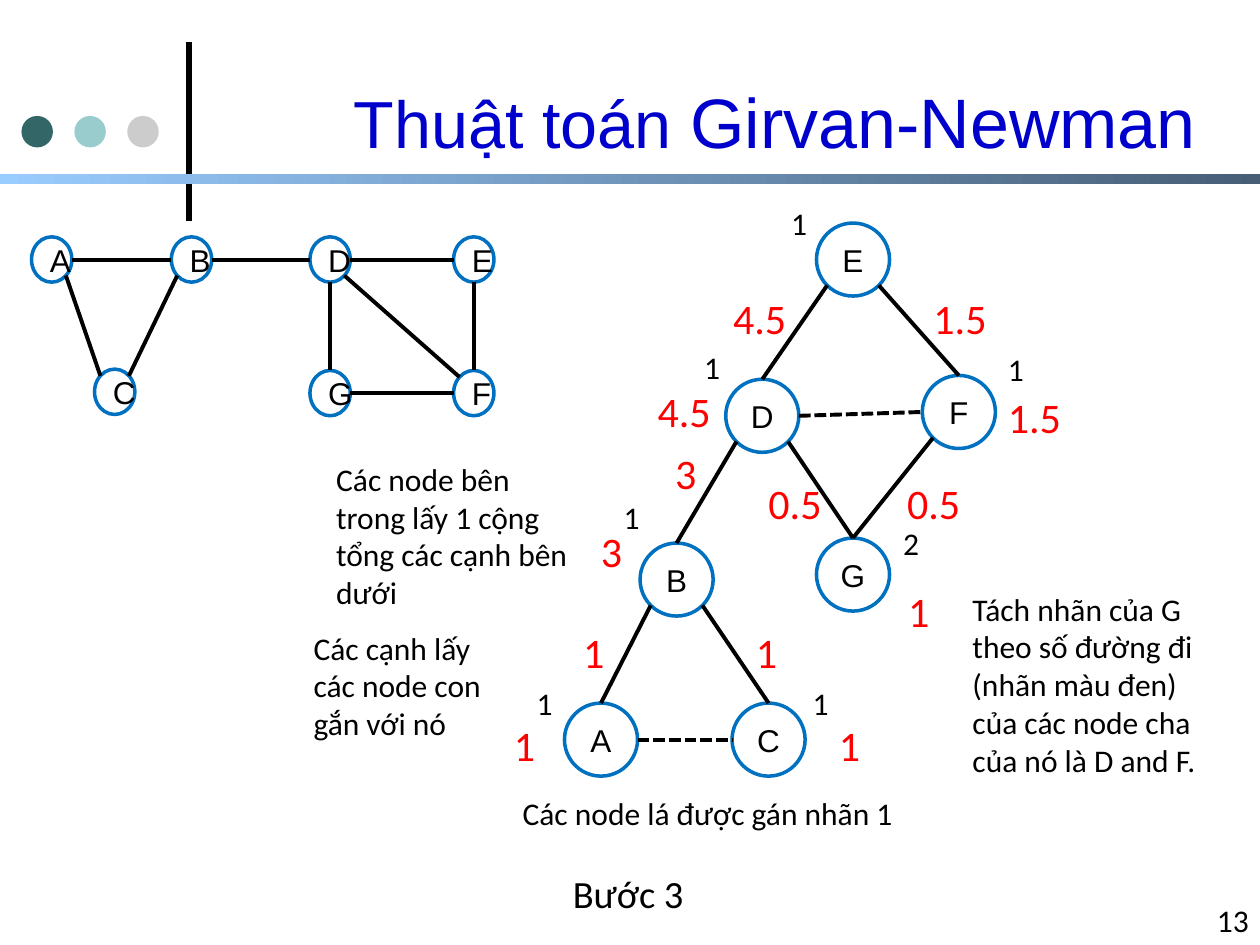
from collections import namedtuple
from math import sqrt

from lxml import etree
from pptx import Presentation
from pptx.dml.color import RGBColor
from pptx.enum.dml import MSO_LINE_DASH_STYLE as Dash
from pptx.enum.shapes import MSO_CONNECTOR as Connector, MSO_SHAPE as Shape
from pptx.enum.text import MSO_ANCHOR as Anchor, MSO_AUTO_SIZE as AutoSize, PP_ALIGN as Align
from pptx.oxml.ns import qn
from pptx.util import Inches, Pt

COLORS = {
    "black": "000000", "title": "0000CC", "credit": "FF0000", "node": "0070C0",
    "teal": "336666", "aqua": "99CCCC", "gray": "CCCCCC",
    "bar_start": "99CCFF", "bar_end": "475E76",
}
Box = namedtuple("Box", "left top width height")
DIAGONAL = sqrt(0.5)
SITES = {
    "top": (0, -1), "bottom": (0, 1), "left": (-1, 0), "right": (1, 0),
    "top left": (-DIAGONAL, -DIAGONAL), "top right": (DIAGONAL, -DIAGONAL),
    "bottom left": (-DIAGONAL, DIAGONAL), "bottom right": (DIAGONAL, DIAGONAL),
}


def rgb(name):
    return RGBColor.from_string(COLORS[name])


def lengths(box):
    return [Inches(value) for value in box]


def within(box, left, top, width, height):
    return Box(box.left + left, box.top + top, width, height)


def write(shape, *pieces, size=18, font="Calibri", color="black", align=Align.LEFT,
          anchor=Anchor.TOP, wrap=True):
    frame = shape.text_frame
    frame.auto_size = AutoSize.NONE
    frame.word_wrap = wrap
    frame.vertical_anchor = anchor
    frame.margin_left = frame.margin_right = Inches(0.1)
    frame.margin_top = frame.margin_bottom = Inches(0.05)
    para = frame.paragraphs[0]
    para.alignment = align
    for piece in pieces:
        text, points = piece if isinstance(piece, tuple) else (piece, size)
        span = para.add_run()
        span.text = text
        span.font.size = Pt(points)
        span.font.name = font
        span.font.color.rgb = rgb(color)


def add_text(shapes, box, text, **style):
    write(shapes.add_textbox(*lengths(box)), text, **style)


def add_line(shapes, start, end, width=2.25, dashed=False):
    line = shapes.add_connector(Connector.STRAIGHT, *lengths(start + end))
    line.line.color.rgb = rgb("black")
    line.line.width = Pt(width)
    if dashed:
        line.line.dash_style = Dash.SQUARE_DOT
    properties = line._element.find(qn("p:spPr"))
    etree.SubElement(properties, qn("a:effectLst"))


def add_plain_shape(shapes, kind, box):
    shape = shapes.add_shape(kind, *lengths(box))
    shape.shadow.inherit = False
    shape.line.fill.background()
    return shape


def add_node(shapes, box, name):
    node = add_plain_shape(shapes, Shape.OVAL, box)
    node.fill.background()
    node.line.color.rgb = rgb("node")
    node.line.width = Pt(2)
    write(node, name, font="Arial", align=Align.CENTER, anchor=Anchor.MIDDLE)


def site_point(box, site):
    across, down = SITES[site]
    return (box.left + box.width / 2 * (1 + across),
            box.top + box.height / 2 * (1 + down))


def add_graph(page, box, nodes, edges, width, height):
    shapes = page.shapes.add_group_shape().shapes
    places = {name: within(box, left, top, width, height)
              for name, (left, top) in nodes.items()}
    for name, place in places.items():
        add_node(shapes, place, name)
    for first, leaving, second, arriving, *dashed in edges:
        add_line(shapes, site_point(places[first], leaving),
                 site_point(places[second], arriving), dashed=bool(dashed))


def add_header(page, box):
    add_line(page.shapes, (box.left + 1.5, box.top + 1.75),
             (box.left + 1.5, box.top + 0.33), width=3)
    for index, color in enumerate(("teal", "aqua", "gray")):
        dot = add_plain_shape(page.shapes, Shape.OVAL,
                              within(box, 0.17 + 0.42 * index, 0.92, 0.25, 0.25))
        dot.fill.solid()
        dot.fill.fore_color.rgb = rgb(color)
    bar = add_plain_shape(page.shapes, Shape.RECTANGLE, within(box, 0, 1.38, box.width, 0.08))
    bar.fill.gradient()
    bar.fill.gradient_angle = 0
    for stop, color in zip(bar.fill.gradient_stops, ("bar_start", "bar_end")):
        stop.color.rgb = rgb(color)
    title = page.shapes.title
    title.left, title.top, title.width, title.height = lengths(
        within(box, 1.67, 0.34, 7.92, 1.24))
    write(title, ("Thuật toán ", 38), ("Girvan-Newman", 40), font="Arial",
          color="title", align=Align.RIGHT, anchor=Anchor.MIDDLE)


def add_network(page, box):
    nodes = {"A": (0, 0), "B": (1.11, 0), "D": (2.21, 0), "E": (3.35, 0),
             "C": (0.5, 1.05), "G": (2.21, 1.06), "F": (3.35, 1.06)}
    edges = [
        ("A", "right", "B", "left"), ("A", "bottom right", "C", "top left"),
        ("C", "top right", "B", "bottom left"), ("B", "right", "D", "left"),
        ("D", "right", "E", "left"), ("D", "bottom", "G", "top"),
        ("E", "bottom", "F", "top"), ("G", "right", "F", "left"),
        ("D", "bottom right", "F", "top left"),
    ]
    add_graph(page, box, nodes, edges, 0.32, 0.36)


def add_tree(page, box):
    nodes = {"E": (2.5, 0.2), "D": (1.78, 1.44), "F": (3.34, 1.41), "B": (1.1, 2.74),
             "G": (2.5, 2.7), "A": (0.5, 4.01), "C": (1.83, 4.01)}
    edges = [
        ("E", "bottom left", "D", "top"), ("E", "bottom right", "F", "top"),
        ("D", "bottom right", "G", "top"), ("F", "bottom left", "G", "top"),
        ("D", "bottom left", "B", "top"), ("B", "bottom left", "A", "top"),
        ("B", "bottom right", "C", "top"),
        ("D", "right", "F", "left", "dashed"), ("A", "right", "C", "left", "dashed"),
    ]
    path_counts = [("1", 2.2, 0), ("1", 1.51, 1.14), ("1", 3.92, 1.16), ("1", 0.87, 2.33),
                   ("2", 3.09, 2.54), ("1", 0.18, 3.81), ("1", 2.37, 3.81)]
    node_credits = [("4.5", 1.14, 1.44), ("1.5", 3.92, 1.49), ("3", 0.69, 2.55),
                    ("1", 3.13, 3.03), ("1", 0, 4.09), ("1", 2.58, 4.09)]
    edge_credits = [("4.5", 1.74, 0.7), ("1.5", 3.33, 0.7), ("3", 1.28, 1.93),
                    ("0.5", 2.02, 2.17), ("0.5", 3.12, 2.17),
                    ("1", 0.55, 3.35), ("1", 1.92, 3.35)]
    add_graph(page, box, nodes, edges, 0.58, 0.58)
    for text, left, top in path_counts:
        add_text(page.shapes, within(box, left, top, 0.32, 0.4), text, wrap=False)
    for text, left, top in node_credits + edge_credits:
        width = 0.37 if len(text) == 1 else 0.62
        add_text(page.shapes, within(box, left, top, width, 0.5), text,
                 size=24, color="credit", wrap=False)


def add_notes(page, box):
    notes = [
        ("Các node bên trong lấy 1 cộng tổng các cạnh bên dưới", 0.18, 0, 2.07, 1.3),
        ("Các cạnh lấy các node con gắn với nó", 0, 1.34, 1.64, 1),
        ("Tách nhãn của G theo số đường đi (nhãn màu đen) của các node cha của nó là D and F.",
         5.23, 1.03, 2.13, 1.6),
        ("Các node lá được gán nhãn 1", 1.66, 2.65, 3.14, 0.4),
    ]
    for text, *place in notes:
        add_text(page.shapes, within(box, *place), text)


def add_footer(page, box):
    add_text(page.shapes, within(box, 1.13, 0, 7.71, 0.47), "Bước 3",
             size=22, align=Align.CENTER)
    add_text(page.shapes, within(box, 8.6, 0.14, 1.41, 0.5), "13",
             align=Align.RIGHT, anchor=Anchor.BOTTOM)


def main():
    deck = Presentation()
    deck.slide_width, deck.slide_height = Inches(10), Inches(7.5)
    page = deck.slides.add_slide(deck.slide_layouts[5])
    add_header(page, Box(0, 0, 10, 1.75))
    add_network(page, Box(0.25, 1.88, 3.67, 1.42))
    add_tree(page, Box(3.98, 1.57, 4.54, 4.59))
    add_notes(page, Box(2.39, 3.6, 7.36, 3.05))
    add_footer(page, Box(0, 6.86, 10, 0.64))
    deck.save("out.pptx")


if __name__ == "__main__":
    main()
